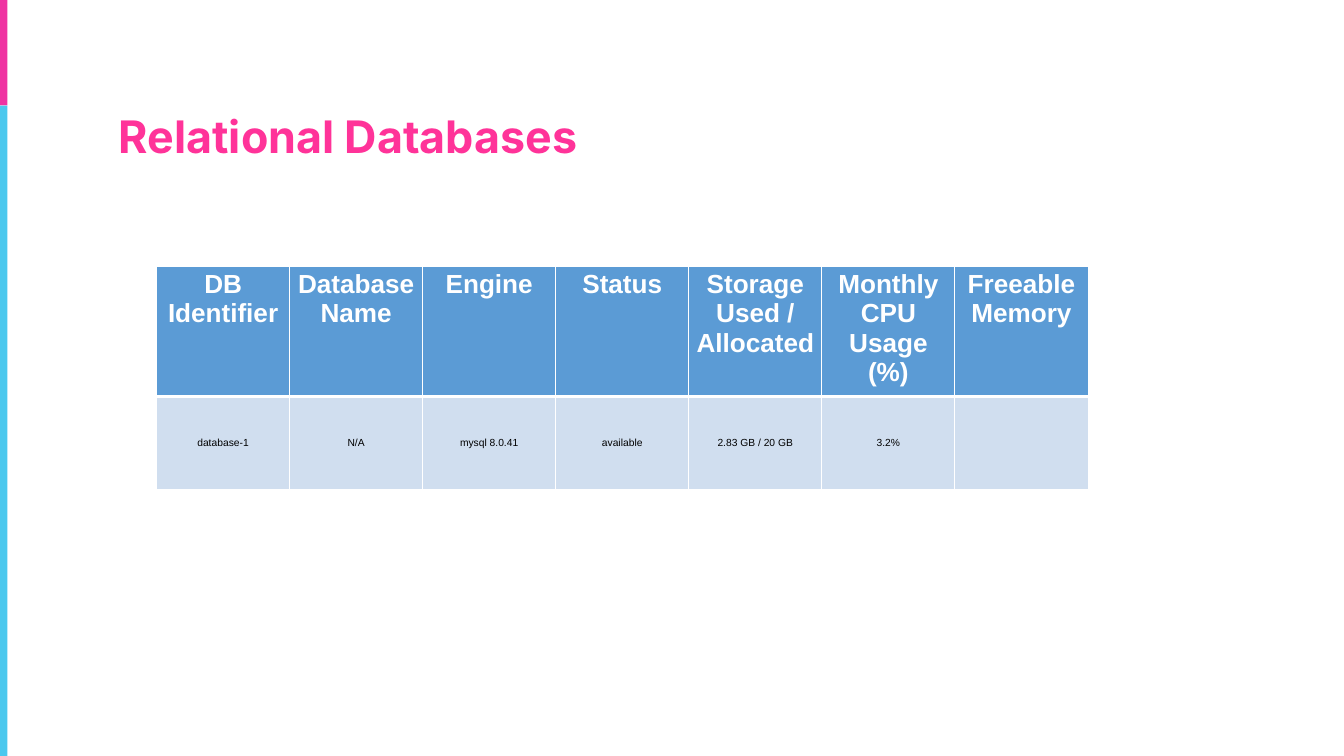
from dataclasses import dataclass

from lxml.etree import SubElement
from pptx import Presentation
from pptx.dml.color import RGBColor
from pptx.enum.shapes import MSO_SHAPE
from pptx.enum.text import MSO_ANCHOR, PP_ALIGN
from pptx.oxml.ns import qn
from pptx.util import Inches, Pt


@dataclass(frozen=True)
class Theme:
    pink: str = "EF33A2"
    cyan: str = "4BC8EE"
    title: str = "FF3399"
    header: str = "5B9BD5"
    body: str = "D0DEEF"
    white: str = "FFFFFF"
    black: str = "000000"
    title_font: str = "Inter"
    table_font: str = "Arial"
    title_size: int = 48
    header_size: int = 28
    body_size: int = 11
    thin: int = 1
    thick: int = 3


THEME = Theme()
SLIDE_W, SLIDE_H = 20, 11.25
HEADERS = ["DB Identifier", "Database Name", "Engine", "Status",
           "Storage Used / Allocated", "Monthly CPU Usage (%)", "Freeable Memory"]
DATABASES = [["database-1", "N/A", "mysql 8.0.41", "available",
              "2.83 GB / 20 GB", "3.2%", ""]]


def add_run(p, text, font, size, color, bold):
    r = p.add_run()
    r.text = text
    r.font.name = font
    r.font.size = Pt(size)
    r.font.bold = bold
    r.font.color.rgb = RGBColor.from_string(color)


def add_side_bar(s, left, top, width, height, split):
    """Draw a vertical bar, pink down to split and cyan below it."""
    for y, h, color in ((top, split, THEME.pink),
                        (top + split, height - split, THEME.cyan)):
        sp = s.shapes.add_shape(MSO_SHAPE.RECTANGLE, Inches(left), Inches(y),
                                Inches(width), Inches(h))
        sp.shadow.inherit = False
        sp.fill.solid()
        sp.fill.fore_color.rgb = RGBColor.from_string(color)
        sp.line.fill.background()


def set_title(s, left, top, width, height, text):
    sp = s.shapes.title
    sp.left, sp.top = Inches(left), Inches(top)
    sp.width, sp.height = Inches(width), Inches(height)
    tf = sp.text_frame
    tf.word_wrap = True
    tf.vertical_anchor = MSO_ANCHOR.MIDDLE
    p = tf.paragraphs[0]
    p.alignment = PP_ALIGN.LEFT
    add_run(p, text, THEME.title_font, THEME.title_size, THEME.title, True)


def set_borders(cell, top, bottom):
    tc_pr = cell._tc.get_or_add_tcPr()
    widths = {"a:lnL": THEME.thin, "a:lnR": THEME.thin, "a:lnT": top, "a:lnB": bottom}
    for tag, width in widths.items():
        ln = SubElement(tc_pr, qn(tag), w=str(Pt(width)))
        fill = SubElement(ln, qn("a:solidFill"))
        SubElement(fill, qn("a:srgbClr"), val=THEME.white)


def fill_cell(cell, text, is_header):
    if is_header:
        size, color, back, anchor = (THEME.header_size, THEME.white,
                                     THEME.header, MSO_ANCHOR.TOP)
    else:
        size, color, back, anchor = (THEME.body_size, THEME.black,
                                     THEME.body, MSO_ANCHOR.MIDDLE)
    cell.fill.solid()
    cell.fill.fore_color.rgb = RGBColor.from_string(back)
    cell.vertical_anchor = anchor
    p = cell.text_frame.paragraphs[0]
    p.alignment = PP_ALIGN.CENTER
    if text:
        add_run(p, text, THEME.table_font, size, color, is_header)


def add_database_table(s, left, top, width, header_height, row_height):
    rows = [HEADERS, *DATABASES]
    height = header_height + row_height * len(DATABASES)
    table = s.shapes.add_table(len(rows), len(HEADERS), Inches(left), Inches(top),
                               Inches(width), Inches(height)).table
    for column in table.columns:
        column.width = Inches(width / len(HEADERS))
    for i, texts in enumerate(rows):
        table.rows[i].height = Inches(row_height if i else header_height)
        for j, text in enumerate(texts):
            cell = table.cell(i, j)
            set_borders(cell, top=THEME.thick if i == 1 else THEME.thin,
                        bottom=THEME.thick if i == 0 else THEME.thin)
            fill_cell(cell, text, is_header=i == 0)


def add_database_slide(prs):
    s = prs.slides.add_slide(prs.slide_layouts[5])
    add_side_bar(s, 0, 0, 0.11, SLIDE_H, split=1.57)
    add_database_table(s, 2.33, 3.97, 13.86, header_height=1.93, row_height=1.38)
    set_title(s, 1.67, 1.57, 8.17, 0.91, "Relational Databases")


def main():
    prs = Presentation()
    prs.slide_width, prs.slide_height = Inches(SLIDE_W), Inches(SLIDE_H)
    add_database_slide(prs)
    prs.save("out.pptx")


if __name__ == "__main__":
    main()
